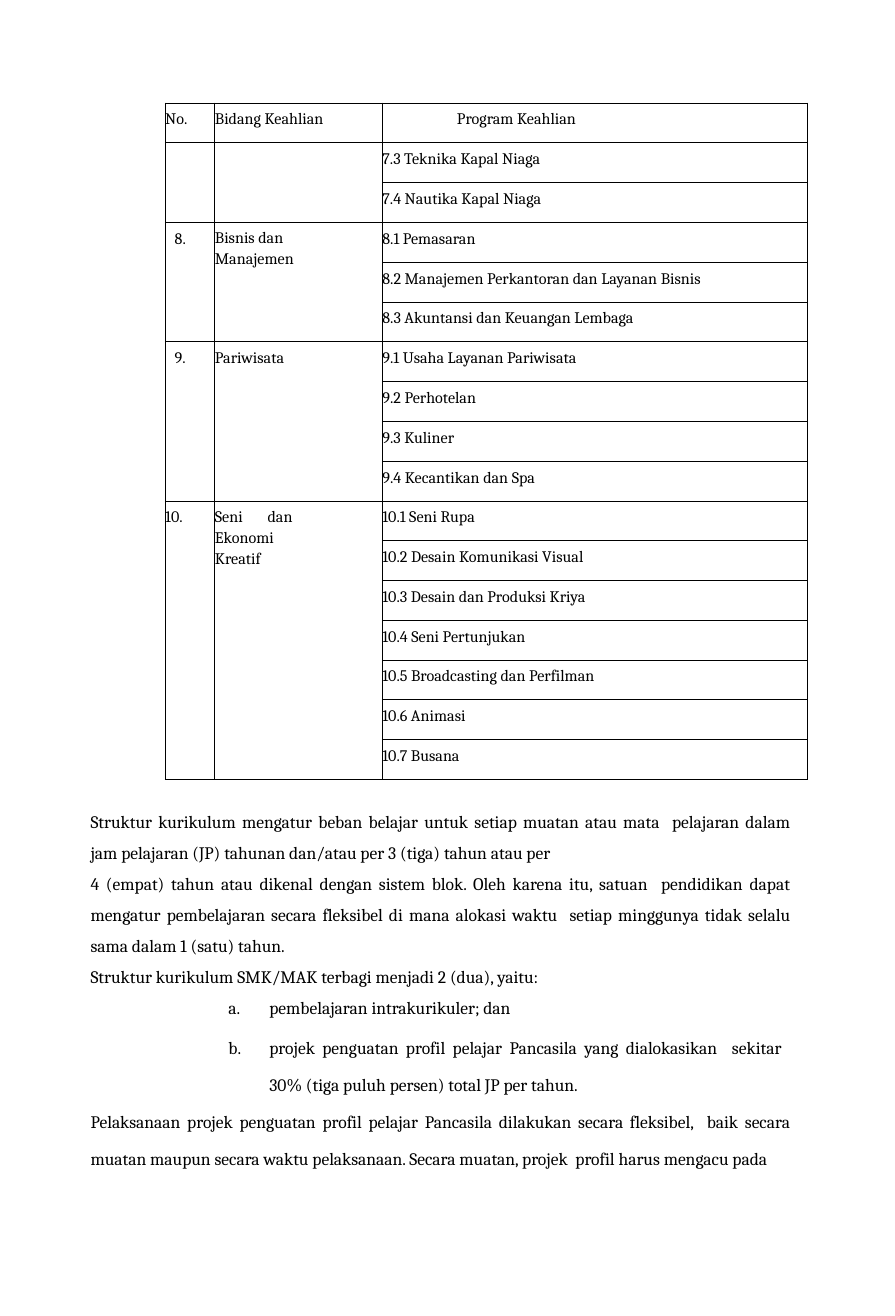
import pptx
import pptx.dml.color
import pptx.enum.text
import pptx.util
from lxml import etree
from pptx.oxml.ns import qn

Pt = pptx.util.Pt
BLACK = pptx.dml.color.RGBColor(0x00, 0x00, 0x00)
FONT = "Cambria"
COLUMNS = (34, 114.5, 291)
ROW_HEIGHT = 27.23
HEADINGS = ("No.", "Bidang Keahlian", "Program Keahlian")

# Number, field, and the programs of that field
FIELDS = [
    ("", "", ["7.3 Teknika Kapal Niaga", "7.4 Nautika Kapal Niaga"]),
    ("8.", "Bisnis dan  Manajemen", [
        "8.1 Pemasaran",
        "8.2 Manajemen Perkantoran dan Layanan Bisnis",
        "8.3 Akuntansi dan Keuangan Lembaga"]),
    ("9.", "Pariwisata", [
        "9.1 Usaha Layanan Pariwisata", "9.2 Perhotelan", "9.3 Kuliner",
        "9.4 Kecantikan dan Spa"]),
    ("10.", "Seni\tdan  Ekonomi  Kreatif", [
        "10.1 Seni Rupa", "10.2 Desain Komunikasi Visual",
        "10.3 Desain dan Produksi Kriya", "10.4 Seni Pertunjukan",
        "10.5 Broadcasting dan Perfilman", "10.6 Animasi", "10.7 Busana"]),
]

# Text, line spacing, space before, right indent, lettered item
PARAGRAPHS = [
    ("Struktur kurikulum mengatur beban belajar untuk setiap muatan atau mata  "
     "pelajaran dalam jam pelajaran (JP) tahunan dan/atau per 3 (tiga) tahun "
     "atau per", 1.47, 0, 2, False),
    ("4 (empat) tahun atau dikenal dengan sistem blok. Oleh karena itu, satuan  "
     "pendidikan dapat mengatur pembelajaran secara fleksibel di mana alokasi "
     "waktu  setiap minggunya tidak selalu sama dalam 1 (satu) tahun.",
     1.47, 0, 2, False),
    ("Struktur kurikulum SMK/MAK terbagi menjadi 2 (dua), yaitu:",
     1, 6.8, 0, False),
    ("pembelajaran intrakurikuler; dan", 1, 6.8, 0, True),
    ("projek penguatan profil pelajar Pancasila yang dialokasikan  sekitar 30% "
     "(tiga puluh persen) total JP per tahun.", 1.76, 1.9, 8, True),
    ("Pelaksanaan projek penguatan profil pelajar Pancasila dilakukan secara "
     "fleksibel,  baik secara muatan maupun secara waktu pelaksanaan. Secara "
     "muatan, projek  profil harus mengacu pada", 1.76, 0, 2, False),
]


def add_run(p, text, size):
    """Add one black run to a paragraph."""
    r = p.add_run()
    r.text = text
    r.font.name, r.font.size = FONT, Pt(size)
    r.font.color.rgb = BLACK


def set_indent(p, left=0, first=0, right=0):
    """Set the paragraph indents and return its properties element."""
    pPr = p._p.get_or_add_pPr()
    for name, value in (("marL", left), ("indent", first), ("marR", right)):
        pPr.set(name, str(int(Pt(value))))
    return pPr


def add_solid_fill(parent):
    """Append a black solid fill to an XML element."""
    fill = etree.SubElement(parent, qn("a:solidFill"))
    etree.SubElement(fill, qn("a:srgbClr"), val=str(BLACK))


def format_cell(cell):
    """Clear the fill and insets of a cell and give it thin borders."""
    cell.fill.background()
    cell.margin_left = cell.margin_right = 0
    cell.margin_top = cell.margin_bottom = 0
    tcPr = cell._tc.get_or_add_tcPr()
    for i, side in enumerate(("lnL", "lnR", "lnT", "lnB")):
        ln = etree.Element(qn("a:" + side), w=str(int(Pt(0.75))))
        add_solid_fill(ln)
        tcPr.insert(i, ln)


def write_cell(cell, text, left=0, right=0, top=5, spacing=None):
    """Write the text of a cell, if there is any."""
    if not text:
        return
    cell.margin_top = Pt(top)
    p = cell.text_frame.paragraphs[0]
    p.line_spacing = spacing
    set_indent(p, left, 0, right)
    add_run(p, text, 11)


def add_program_table(s, x, y):
    """Add the table of fields and programs at the given corner."""
    count = 1 + sum(len(programs) for _, _, programs in FIELDS)
    table = s.shapes.add_table(count, len(COLUMNS), Pt(x), Pt(y),
                               Pt(sum(COLUMNS)), Pt(ROW_HEIGHT * count)).table
    table.first_row = table.horz_banding = False
    for column, width in zip(table.columns, COLUMNS):
        column.width = Pt(width)
    for row in table.rows:
        row.height = Pt(ROW_HEIGHT)
    for cell in table.iter_cells():
        format_cell(cell)
    for col, heading in enumerate(HEADINGS):
        write_cell(table.cell(0, col), heading, left=51 if col == 2 else 0)
    top = 1
    for number, field, programs in FIELDS:
        for col in (0, 1):
            table.cell(top, col).merge(table.cell(top + len(programs) - 1, col))
        write_cell(table.cell(top, 0), number, left=6.5 if len(number) == 2 else 0)
        if " " in field:
            write_cell(table.cell(top, 1), field, right=56, top=3, spacing=1.13)
        else:
            write_cell(table.cell(top, 1), field)
        for row, program in enumerate(programs, top):
            write_cell(table.cell(row, 2), program)
        top += len(programs)


def add_body(s, x, y, w, h):
    """Add the justified body text with its lettered list in the given box."""
    tf = s.shapes.add_textbox(Pt(x), Pt(y), Pt(w), Pt(h)).text_frame
    tf.word_wrap = True
    tf.auto_size = pptx.enum.text.MSO_AUTO_SIZE.SHAPE_TO_FIT_TEXT
    tf.margin_left = tf.margin_right = tf.margin_bottom = 0
    tf.margin_top = Pt(1)
    for i, (text, spacing, before, right, lettered) in enumerate(PARAGRAPHS):
        p = tf.add_paragraph() if i else tf.paragraphs[0]
        p.alignment = pptx.enum.text.PP_ALIGN.JUSTIFY
        p.line_spacing, p.space_before = spacing, Pt(before)
        if lettered:
            pPr = set_indent(p, 123, -28, right)
            color = etree.SubElement(pPr, qn("a:buClr"))
            etree.SubElement(color, qn("a:srgbClr"), val=str(BLACK))
            etree.SubElement(pPr, qn("a:buFont"), typeface=FONT)
            etree.SubElement(pPr, qn("a:buAutoNum"), type="alphaLcPeriod")
        else:
            set_indent(p, 0.7, 0, right)
        add_run(p, text, 12)


prs = pptx.Presentation()
prs.slide_width, prs.slide_height = Pt(612), Pt(900)
s = prs.slides.add_slide(prs.slide_layouts.get_by_name("Blank"))
add_program_table(s, 113, 70.5)
add_body(s, 61.2, 547.2, 481.7, 255.6)
prs.save("out.pptx")
